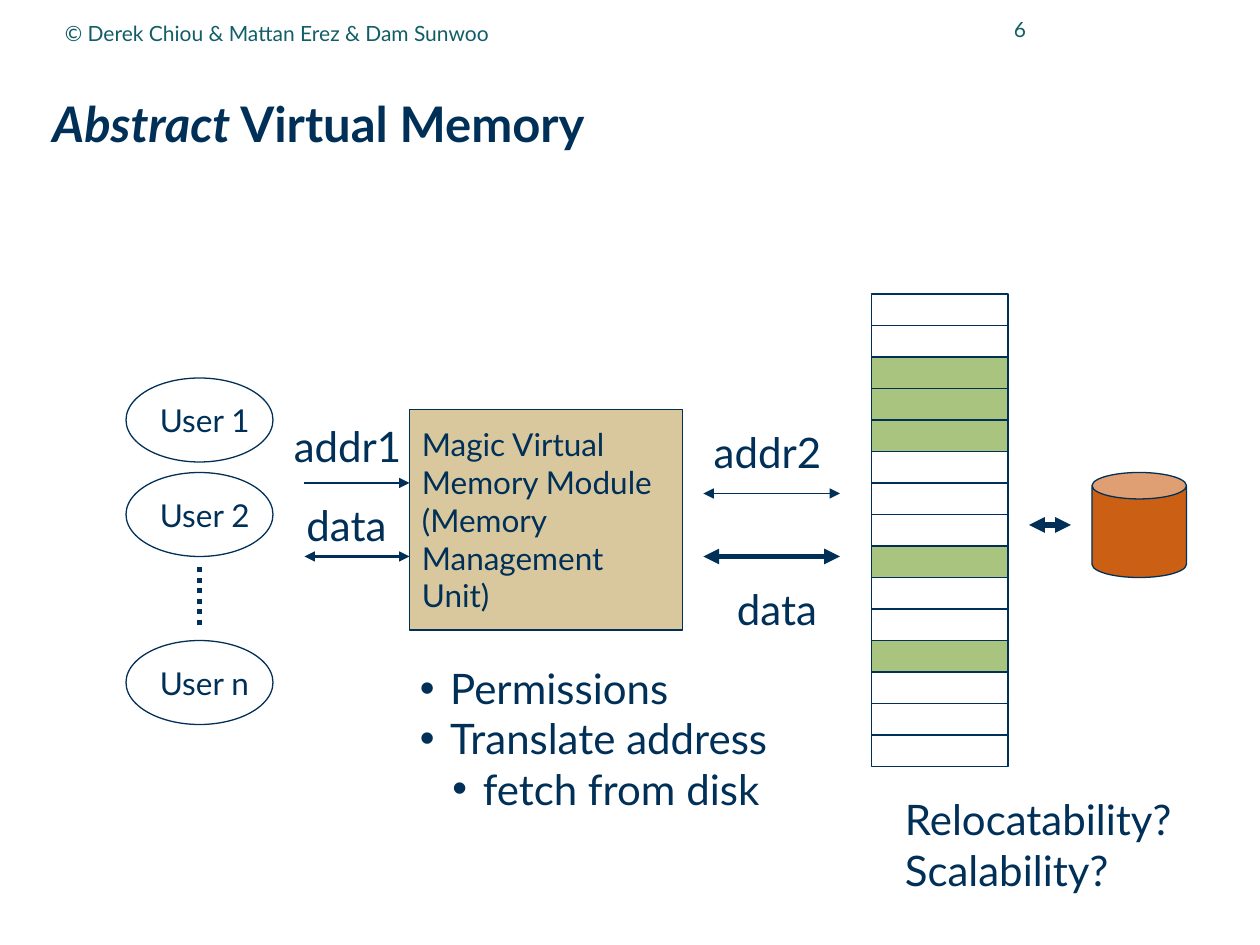
from dataclasses import dataclass
from typing import NamedTuple

from lxml import etree
from pptx import Presentation
from pptx import util as u
from pptx.dml.color import RGBColor
from pptx.enum import dml, shapes, text
from pptx.oxml.ns import qn

EMU_PER_PX = 7620  # 120 px to the inch


@dataclass(frozen=True)
class Theme:
    font: str = "Lato"
    navy: str = "003057"
    teal: str = "115E67"
    sand: str = "D9C89E"
    green: str = "A9C47F"
    orange: str = "CB6015"
    title: int = 28
    label: int = 24
    body: int = 18
    small: int = 12
    outline: float = 0.75


THEME = Theme()


class Area(NamedTuple):
    left: int
    top: int
    width: int
    height: int


class Span(NamedTuple):
    words: str
    bold: bool = False
    italic: bool = False


@dataclass(frozen=True)
class Label:
    area: Area
    lines: tuple[str, ...]


@dataclass(frozen=True)
class Arrow:
    start: tuple[int, int]
    end: tuple[int, int]
    weight: float
    both_ends: bool = True


class Bullet(NamedTuple):
    words: str
    margin: int
    level: int = 0


USERS = (("User 1", 360), ("User 2", 450), ("User n", 610))
MODULE_LINES = ("Magic Virtual", "Memory Module", "(Memory", "Management", "Unit)")
MEMORY = Area(830, 280, 130, 30)
PAGE_COUNT = 15
USED_PAGES = {2, 3, 4, 8, 11}

ARROWS = (
    Arrow((290, 460), (390, 460), 0.75, both_ends=False),
    Arrow((390, 530), (290, 530), 1.5),
    Arrow((670, 470), (800, 470), 0.75),
    Arrow((670, 530), (800, 530), 3),
    Arrow((1020, 500), (980, 500), 3),
)
LABELS = (
    Label(Area(268, 395, 130, 60), ("addr1",)),
    Label(Area(280, 470, 102, 60), ("data",)),
    Label(Area(668, 400, 130, 60), ("addr2",)),
    Label(Area(690, 550, 102, 60), ("data",)),
    Label(Area(850, 750, 284, 109), ("Relocatability?", "Scalability?")),
)
BULLET_GAP = 29
BULLETS = (
    Bullet("Permissions", 29),
    Bullet("Translate address", 29),
    Bullet("fetch from disk", 60, level=1),
)


def px(length: int) -> u.Emu:
    return u.Emu(length * EMU_PER_PX)


def emu(area: Area) -> list[u.Emu]:
    return [px(length) for length in area]


def add_span(para, span: Span, size: int, color: str) -> None:
    run = para.add_run()
    run.text = span.words
    font = run.font
    font.name, font.size = THEME.font, u.Pt(size)
    font.bold, font.italic = span.bold, span.italic
    font.color.rgb = RGBColor.from_string(color)


def write(frame, lines, size: int, color: str = THEME.navy, wrap: bool = False,
          anchor=text.MSO_ANCHOR.MIDDLE, align=text.PP_ALIGN.LEFT) -> list:
    """Fill a text frame, one paragraph for each sequence of spans."""
    frame.word_wrap = wrap
    frame.vertical_anchor = anchor
    paras = []
    for index, spans in enumerate(lines):
        para = frame.add_paragraph() if index else frame.paragraphs[0]
        para.alignment = align
        for span in spans:
            add_span(para, span, size, color)
        paras.append(para)
    return paras


def plain(lines) -> list[list[Span]]:
    return [[Span(line)] for line in lines]


def add_outlined(page, kind, area: Area, fill: str | None = None):
    shape = page.shapes.add_shape(kind, *emu(area))
    shape.shadow.inherit = False
    if fill:
        shape.fill.solid()
        shape.fill.fore_color.rgb = RGBColor.from_string(fill)
    else:
        shape.fill.background()
    shape.line.color.rgb = RGBColor.from_string(THEME.navy)
    shape.line.width = u.Pt(THEME.outline)
    return shape


def add_line(page, start: tuple[int, int], end: tuple[int, int], weight: float):
    line = page.shapes.add_connector(
        shapes.MSO_CONNECTOR.STRAIGHT, *(px(value) for value in (*start, *end)))
    line.line.color.rgb = RGBColor.from_string(THEME.navy)
    line.line.width = u.Pt(weight)
    etree.SubElement(line._element.spPr, qn("a:effectLst"))
    return line


def add_arrow(page, arrow: Arrow) -> None:
    line = add_line(page, arrow.start, arrow.end, arrow.weight)
    ends = ("a:headEnd", "a:tailEnd") if arrow.both_ends else ("a:tailEnd",)
    for end in ends:
        etree.SubElement(line.get_or_add_ln(), qn(end), type="triangle")


def add_label(page, label: Label) -> None:
    box = page.shapes.add_textbox(*emu(label.area))
    write(box.text_frame, plain(label.lines), THEME.label, anchor=text.MSO_ANCHOR.TOP)


def add_bullets(page, area: Area) -> None:
    box = page.shapes.add_textbox(*emu(area))
    paras = write(box.text_frame, plain(item.words for item in BULLETS),
                  THEME.label, anchor=text.MSO_ANCHOR.TOP)
    for para, item in zip(paras, BULLETS):
        para.level = item.level
        properties = para._p.get_or_add_pPr()
        properties.set("marL", str(px(item.margin)))
        properties.set("indent", str(px(-BULLET_GAP)))
        etree.SubElement(properties, qn("a:buFont"), typeface="Arial")
        etree.SubElement(properties, qn("a:buChar"), char="•")


def add_header(page) -> None:
    title = page.shapes.add_textbox(*emu(Area(50, 60, 1129, 118))).text_frame
    title.margin_left = title.margin_right = title.margin_top = title.margin_bottom = 0
    spans = [Span("Abstract", bold=True, italic=True), Span(" Virtual Memory", bold=True)]
    write(title, [spans], THEME.title, wrap=True)[0].line_spacing = 0.99

    number = page.shapes.add_textbox(*emu(Area(880, -2, 109, 60)))
    write(number.text_frame, plain(["6"]), THEME.small, THEME.teal, wrap=True,
          align=text.PP_ALIGN.RIGHT)
    credit = page.shapes.add_textbox(*emu(Area(50, 4, 680, 55)))
    write(credit.text_frame, plain(["© Derek Chiou & Mattan Erez & Dam Sunwoo"]),
          THEME.small, THEME.teal, wrap=True)


def add_diagram(page) -> None:
    kinds = shapes.MSO_SHAPE
    module = add_outlined(page, kinds.RECTANGLE, Area(390, 390, 260, 210), THEME.sand)
    write(module.text_frame, plain(MODULE_LINES), THEME.body)

    for index in range(PAGE_COUNT):
        cell = MEMORY._replace(top=MEMORY.top + index * MEMORY.height)
        add_outlined(page, kinds.RECTANGLE, cell, THEME.green if index in USED_PAGES else None)

    disk = add_outlined(page, kinds.CAN, Area(1040, 450, 90, 100), THEME.orange)
    disk.adjustments[0] = 0.28

    for name, top in USERS:
        user = add_outlined(page, kinds.OVAL, Area(120, top, 140, 80))
        write(user.text_frame, plain([name]), THEME.body)
    more_users = add_line(page, (190, 540), (190, 600), 3)
    more_users.line.dash_style = dml.MSO_LINE.ROUND_DOT

    for arrow in ARROWS:
        add_arrow(page, arrow)
    for label in LABELS:
        add_label(page, label)
    add_bullets(page, Area(388, 625, 372, 157))


def main() -> None:
    deck = Presentation()
    deck.slide_width, deck.slide_height = px(1200), px(900)
    page = deck.slides.add_slide(deck.slide_layouts[6])
    add_header(page)
    add_diagram(page)
    deck.save("out.pptx")


if __name__ == "__main__":
    main()
